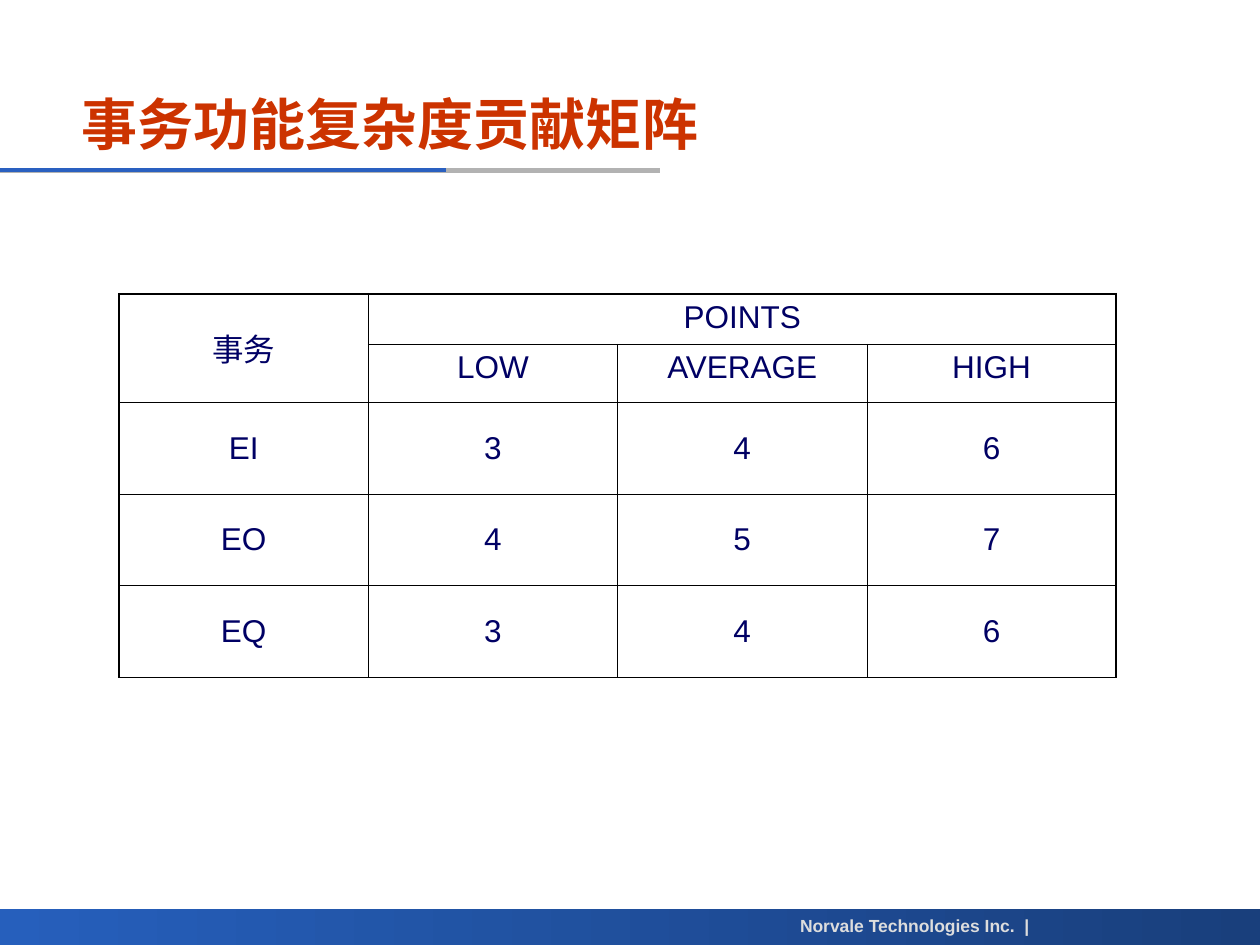
from lxml.etree import SubElement
from pptx import Presentation
from pptx.dml.color import RGBColor
from pptx.enum.shapes import MSO_CONNECTOR, MSO_SHAPE
from pptx.enum.text import MSO_ANCHOR as ANCHOR, PP_ALIGN as ALIGN
from pptx.oxml.ns import qn
from pptx.util import Cm, Pt

RED = RGBColor(0xCC, 0x33, 0x00)
NAVY = RGBColor(0x00, 0x00, 0x64)
BLUE = RGBColor(0x2A, 0x60, 0xC0)
GRAY = RGBColor(0xB2, 0xB2, 0xB2)
PALE = RGBColor(0xDD, 0xDD, 0xDD)
BAR_LEFT = RGBColor(0x26, 0x5F, 0xBC)
BAR_RIGHT = RGBColor(0x19, 0x3F, 0x7C)

THICK, THIN = Pt(1.08), Pt(0.45)


def add_run(tf, text, size, color, bold, align):
    p = tf.paragraphs[0]
    p.alignment = align
    r = p.add_run()
    r.text = text
    r.font.name = "Arial"
    r.font.size = Pt(size)
    r.font.bold = bold
    r.font.color.rgb = color


def set_border(cell, side, width):
    ln = SubElement(cell._tc.get_or_add_tcPr(), qn(f"a:ln{side}"), w=str(width))
    fill = SubElement(ln, qn("a:solidFill"))
    SubElement(fill, qn("a:srgbClr"), val="000000")


prs = Presentation()
prs.slide_width, prs.slide_height = Cm(25.4), Cm(19.05)
s = prs.slides.add_slide(prs.slide_layouts[6])

# Footer bar
sp = s.shapes.add_shape(MSO_SHAPE.RECTANGLE, 0, Cm(18.33), Cm(25.4), Cm(0.72))
sp.shadow.inherit = False
sp.line.fill.background()
sp.fill.gradient()
sp.fill.gradient_angle = 0
for stop, color in zip(sp.fill.gradient_stops, (BAR_LEFT, BAR_RIGHT)):
    stop.color.rgb = color

# Rule under the title: gray, with a blue part on top
for end, color, width in ((13.3, GRAY, 3), (9, BLUE, 2.25)):
    ln = s.shapes.add_connector(MSO_CONNECTOR.STRAIGHT, 0, Cm(3.43), Cm(end), Cm(3.43))
    ln.line.color.rgb = color
    ln.line.width = Pt(width)
    SubElement(ln._element.spPr, qn("a:effectLst"))

# Footer text
tf = s.shapes.add_textbox(Cm(15.62), Cm(18.33), Cm(5.38), Cm(0.69)).text_frame
tf.word_wrap = False
add_run(tf, "Norvale Technologies Inc.  |", 10, PALE, True, ALIGN.RIGHT)

# Title
tf = s.shapes.add_textbox(Cm(1.4), Cm(1.63), Cm(17.58), Cm(1.7)).text_frame
tf.word_wrap = True
tf.vertical_anchor = ANCHOR.MIDDLE
add_run(tf, "事务功能复杂度贡献矩阵", 32, RED, True, ALIGN.LEFT)

# Complexity table
rows = [
    ("事务", "POINTS", "", ""),
    ("", "LOW", "AVERAGE", "HIGH"),
    ("EI", "3", "4", "6"),
    ("EO", "4", "5", "7"),
    ("EQ", "3", "4", "6"),
]
heights = (0.98, 1.17, 1.85, 1.85, 1.85)
n_rows, n_cols = len(rows), len(rows[0])
table = s.shapes.add_table(n_rows, n_cols, Cm(2.4), Cm(5.92),
                           Cm(20.1), Cm(sum(heights))).table
table.first_row = table.horz_banding = False
for row, height in zip(table.rows, heights):
    row.height = Cm(height)

for i, texts in enumerate(rows):
    for j, text in enumerate(texts):
        cell = table.cell(i, j)
        # The frame is thick, the inner grid thin
        for side, outer in (("L", j == 0), ("R", j == n_cols - 1),
                            ("T", i == 0), ("B", i == n_rows - 1)):
            set_border(cell, side, THICK if outer else THIN)
        cell.fill.background()
        heading = i < 2 and j > 0
        cell.vertical_anchor = ANCHOR.TOP if heading else ANCHOR.MIDDLE
        if text:
            add_run(cell.text_frame, text, 18, NAVY, False, ALIGN.CENTER)

table.cell(0, 0).merge(table.cell(1, 0))
table.cell(0, 1).merge(table.cell(0, 3))
# Merged cells reach the frame on their far side
table.cell(0, 1)._tc.tcPr.find(qn("a:lnR")).set("w", str(THICK))

prs.save("out.pptx")
